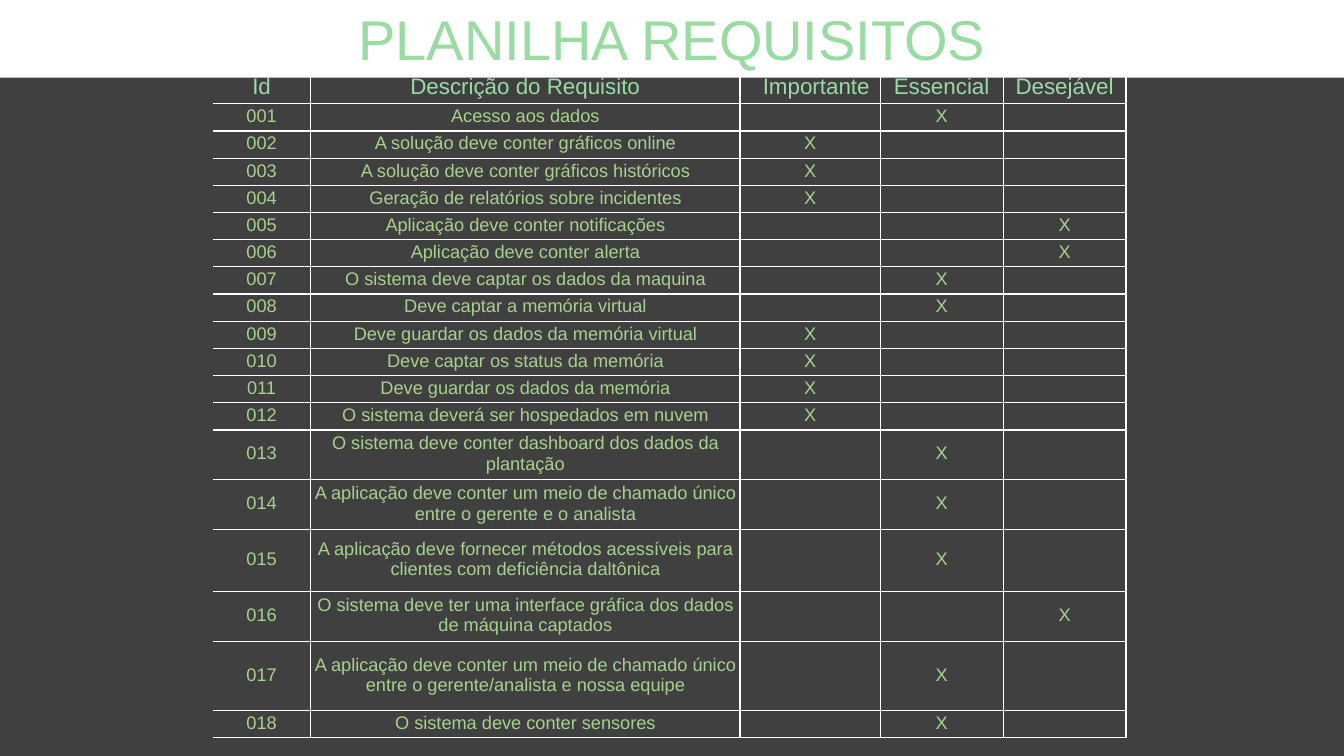
import pptx
import pptx.dml.color
import pptx.enum.shapes
import pptx.enum.text
import pptx.oxml
import pptx.util
from lxml import etree
from pptx.util import Inches

FONT = "Arial"
MINT = "9ADBA4"
GREEN = "A9D18E"
WHITE = "FFFFFF"
CHARCOAL = "404040"

HEADERS = ["Id", "Descrição do Requisito", "  Importante", "Essencial", "Desejável"]
IMPORTANT, ESSENTIAL, DESIRABLE = 2, 3, 4
REQUIREMENTS = [
    ("Acesso aos dados", ESSENTIAL),
    ("A solução deve conter gráficos online", IMPORTANT),
    ("A solução deve conter gráficos históricos", IMPORTANT),
    ("Geração de relatórios sobre incidentes", IMPORTANT),
    ("Aplicação deve conter notificações", DESIRABLE),
    ("Aplicação deve conter alerta", DESIRABLE),
    ("O sistema deve captar os dados da maquina", ESSENTIAL),
    ("Deve captar a memória virtual", ESSENTIAL),
    ("Deve guardar os dados da memória virtual", IMPORTANT),
    ("Deve captar os status da memória", IMPORTANT),
    ("Deve guardar os dados da memória", IMPORTANT),
    ("O sistema deverá ser hospedados em nuvem", IMPORTANT),
    ("O sistema deve conter dashboard dos dados da plantação", ESSENTIAL),
    ("A aplicação deve conter um meio de chamado único entre o gerente e o analista", ESSENTIAL),
    ("A aplicação deve fornecer métodos acessíveis para clientes com deficiência daltônica", ESSENTIAL),
    ("O sistema deve ter uma interface gráfica dos dados de máquina captados", DESIRABLE),
    ("A aplicação deve conter um meio de chamado único entre o gerente/analista e nossa equipe", ESSENTIAL),
    ("O sistema deve conter sensores", ESSENTIAL),
]
COLUMN_WIDTHS = [0.97, 4.26, 1.39, 1.22, 1.22]
ROW_HEIGHTS = [0.32] + [0.27] * 12 + [0.49, 0.5, 0.61, 0.5, 0.68, 0.27]


def rgb(value):
    return pptx.dml.color.RGBColor.from_string(value)


def style_paragraph(paragraph, size, color):
    paragraph.alignment = pptx.enum.text.PP_ALIGN.CENTER
    paragraph.font.name = FONT
    paragraph.font.size = pptx.util.Pt(size)
    paragraph.font.color.rgb = rgb(color)


def add_background(slide):
    shape = slide.shapes.add_shape(
        pptx.enum.shapes.MSO_SHAPE.RECTANGLE,
        Inches(0), Inches(0.77), Inches(13.33), Inches(6.73))
    shape.shadow.inherit = False
    shape.fill.solid()
    shape.fill.fore_color.rgb = rgb(CHARCOAL)
    shape.line.fill.background()


def add_title(slide, text):
    box = slide.shapes.add_textbox(Inches(2.34), Inches(0), Inches(8.65), Inches(0.77))
    frame = box.text_frame
    frame.word_wrap = True
    frame.auto_size = pptx.enum.text.MSO_AUTO_SIZE.SHAPE_TO_FIT_TEXT
    frame.text = text
    style_paragraph(frame.paragraphs[0], 40, MINT)


def add_border(cell, side, visible):
    properties = cell._tc.get_or_add_tcPr()
    line = etree.SubElement(properties, pptx.oxml.ns.qn(f"a:ln{side}"), w="12700")
    if visible:
        fill = etree.SubElement(line, pptx.oxml.ns.qn("a:solidFill"))
        etree.SubElement(fill, pptx.oxml.ns.qn("a:srgbClr"), val=WHITE)
    else:
        etree.SubElement(line, pptx.oxml.ns.qn("a:noFill"))


def fill_cell(cell, text, size, color, first_row, first_column):
    cell.margin_left = cell.margin_right = cell.margin_top = Inches(0.01)
    cell.margin_bottom = Inches(0.03)
    cell.vertical_anchor = pptx.enum.text.MSO_ANCHOR.MIDDLE
    cell.text = text
    paragraph = cell.text_frame.paragraphs[0]
    style_paragraph(paragraph, size, color)
    if not text:
        paragraph._p.get_or_add_endParaRPr().set("sz", str(size * 100))
    for side, visible in (("L", not first_column), ("R", True), ("T", not first_row), ("B", True)):
        add_border(cell, side, visible)
    cell.fill.background()


def requirement_rows():
    rows = [HEADERS]
    for number, (description, priority) in enumerate(REQUIREMENTS, start=1):
        row = [f"{number:03}", description, "", "", ""]
        row[priority] = "X"
        rows.append(row)
    return rows


def add_requirements_table(slide):
    rows = requirement_rows()
    table = slide.shapes.add_table(
        len(rows), len(HEADERS),
        Inches(2.11), Inches(0.71), Inches(9.05), Inches(6.64)).table
    table.first_row = False
    table.horz_banding = False
    for column, width in zip(table.columns, COLUMN_WIDTHS):
        column.width = Inches(width)
    for row, height in zip(table.rows, ROW_HEIGHTS):
        row.height = Inches(height)
    for row_index, texts in enumerate(rows):
        size, color = (13, GREEN) if row_index else (16, MINT)
        for column_index, text in enumerate(texts):
            fill_cell(table.cell(row_index, column_index), text, size, color,
                      row_index == 0, column_index == 0)


def main():
    presentation = pptx.Presentation()
    presentation.slide_width = Inches(13.33)
    presentation.slide_height = Inches(7.5)
    slide = presentation.slides.add_slide(presentation.slide_layouts[6])
    add_background(slide)
    add_requirements_table(slide)
    add_title(slide, "PLANILHA REQUISITOS")
    presentation.save("out.pptx")


if __name__ == "__main__":
    main()
